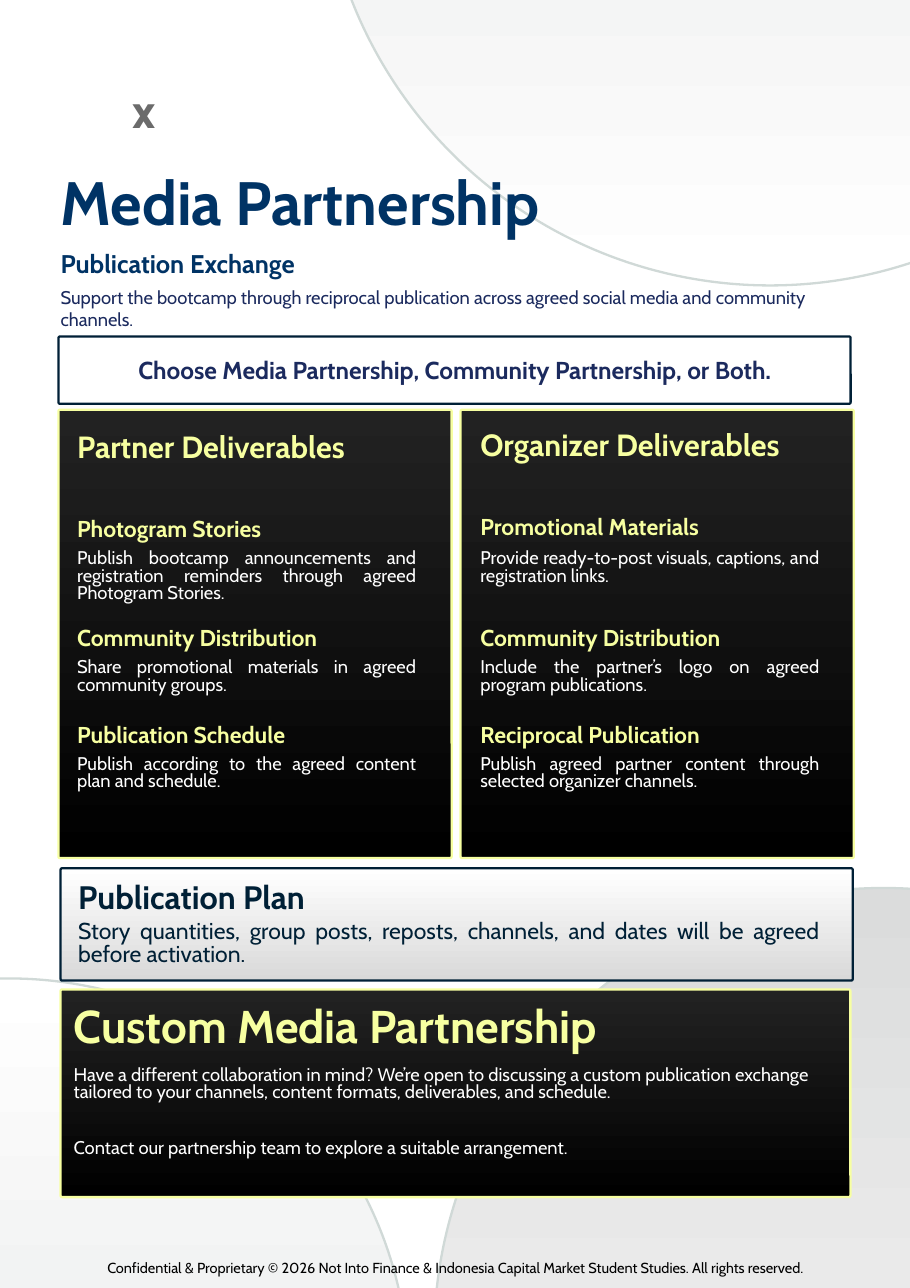
from pptx import Presentation
from pptx.dml.color import RGBColor
from pptx.enum.shapes import MSO_SHAPE
from pptx.enum.text import PP_ALIGN
from pptx.util import Pt

WHITE = RGBColor(0xFF, 0xFF, 0xFF)
BLACK = RGBColor(0x00, 0x00, 0x00)
CHARCOAL = RGBColor(0x22, 0x22, 0x22)
GRAY = RGBColor(0x6B, 0x6B, 0x6B)
SILVER = RGBColor(0xD9, 0xD9, 0xD9)
MIST = RGBColor(0xDB, 0xDC, 0xDC)
CIRCLE_EDGE = RGBColor(0xD0, 0xD9, 0xD7)
BLUE = RGBColor(0x00, 0x33, 0x65)
INDIGO = RGBColor(0x1B, 0x2A, 0x5E)
NAVY = RGBColor(0x00, 0x20, 0x36)
LIME = RGBColor(0xF7, 0xFF, 0xA1)

COLUMN_WIDTH = 221.8
BODY_TOPS = (360, 431.3, 494.6)
COLUMNS = (
    (38.2, 50.4, 284.4, "Partner Deliverables", (
        (339.8, "Photogram Stories",
         "Publish bootcamp announcements and registration reminders through agreed Photogram Stories."),
        (411.1, "Community Distribution",
         "Share promotional materials in agreed community groups."),
        (474.5, "Publication Schedule",
         "Publish according to the agreed content plan and schedule."),
    )),
    (301, 313.9, 283.4, "Organizer Deliverables", (
        (338.8, "Promotional Materials",
         "Provide ready-to-post visuals, captions, and registration links."),
        (411.1, "Community Distribution",
         "Include the partner’s logo on agreed program publications."),
        (474.5, "Reciprocal Publication",
         "Publish agreed partner content through selected organizer channels."),
    )),
)


class Flyer:
    font_name = "Cabin"
    line_width = 1.5
    corner_radius = 1

    def __init__(self, slide):
        self.slide = slide

    def shape(self, kind, left, top, width, height, line_color, colors=None):
        shape = self.slide.shapes.add_shape(kind, Pt(left), Pt(top), Pt(width), Pt(height))
        shape.shadow.inherit = False
        shape.line.color.rgb = line_color
        shape.line.width = Pt(self.line_width)
        if colors is None:
            shape.fill.background()
        else:
            shape.fill.gradient()
            shape.fill.gradient_angle = 270
            for stop, color in zip(shape.fill.gradient_stops, colors):
                stop.color.rgb = color
        return shape

    def circle(self, left, top, diameter, colors):
        self.shape(MSO_SHAPE.OVAL, left, top, diameter, diameter, CIRCLE_EDGE, colors)

    def panel(self, left, top, width, height, line_color, colors=None):
        shape = self.shape(MSO_SHAPE.ROUNDED_RECTANGLE, left, top, width, height, line_color, colors)
        shape.adjustments[0] = self.corner_radius / min(width, height)

    def text(self, text, left, top, width, height, size, spacing, color,
             bold=False, align=PP_ALIGN.LEFT):
        shape = self.slide.shapes.add_textbox(Pt(left), Pt(top), Pt(width), Pt(height))
        frame = shape.text_frame
        frame.word_wrap = True
        frame.margin_left = frame.margin_top = frame.margin_right = frame.margin_bottom = 0
        paragraph = frame.paragraphs[0]
        paragraph.text = text
        paragraph.alignment = align
        paragraph.line_spacing = Pt(spacing)
        paragraph.font.name = self.font_name
        paragraph.font.size = Pt(size)
        paragraph.font.bold = bold
        paragraph.font.color.rgb = color

    def heading(self, text, left, top, width, height, size, spacing, color):
        self.text(text, left, top, width, height, size, spacing, color, True, PP_ALIGN.JUSTIFY)

    def column(self, panel_left, left, title_top, title, sections):
        self.panel(panel_left, 267.8, 257, 293, LIME, (CHARCOAL, BLACK))
        self.heading(title, left, title_top, COLUMN_WIDTH, 20.9, 20, 19, LIME)
        for body_top, (heading_top, heading, body) in zip(BODY_TOPS, sections):
            self.heading(heading, left, heading_top, COLUMN_WIDTH, 15.8, 15, 14.2, LIME)
            self.text(body, left, body_top, COLUMN_WIDTH, 23.8, 12, 11.4, WHITE,
                      align=PP_ALIGN.JUSTIFY)


def main():
    presentation = Presentation()
    presentation.slide_width = Pt(594.72)
    presentation.slide_height = Pt(841.68)
    flyer = Flyer(presentation.slides.add_slide(presentation.slide_layouts[6]))

    flyer.circle(209.5, -401, 587.5, (MIST, WHITE))
    flyer.circle(-254.9, 639.4, 522, (WHITE, MIST))
    flyer.circle(283.7, 580.3, 587.5, (MIST, WHITE))

    flyer.text("x", 85, 61.9, 18, 30.2, 31, 28.5, GRAY, True, PP_ALIGN.CENTER)
    flyer.text("Media Partnership", 39.6, 117.4, 496, 40.3, 40, 38, BLUE, True)
    flyer.text("Publication Exchange", 39.6, 162, 518.4, 19.4, 16.7, 20, BLUE, True)
    flyer.text("Support the bootcamp through reciprocal publication across agreed "
               "social media and community channels.",
               39.6, 187.2, 518.4, 29.5, 12, 14.4, INDIGO)

    flyer.panel(38.2, 219.9, 517.7, 44, NAVY)
    flyer.text("Choose Media Partnership, Community Partnership, or Both.",
               45.4, 231.8, 504, 19.4, 16, 19.2, INDIGO, True, PP_ALIGN.CENTER)

    for column in COLUMNS:
        flyer.column(*column)

    flyer.panel(39.6, 567.4, 517.7, 73.4, NAVY, (WHITE, SILVER))
    flyer.heading("Publication Plan", 51.1, 578.2, 365.8, 21.6, 21.2, 20.2, NAVY)
    flyer.text("Story quantities, group posts, reposts, channels, and dates will be "
               "agreed before activation.",
               51.1, 601.9, 484.6, 29.5, 15, 15, NAVY, align=PP_ALIGN.JUSTIFY)

    flyer.panel(39.6, 646.6, 516.2, 135.7, LIME, (CHARCOAL, BLACK))
    flyer.heading("Custom Media Partnership", 48.2, 659.5, 501, 31, 30, 28.5, LIME)
    flyer.text("Have a different collaboration in mind? We’re open to discussing a custom "
               "publication exchange tailored to your channels, content formats, "
               "deliverables, and schedule.",
               48.2, 697.7, 488.2, 23.8, 12, 11.4, WHITE)
    flyer.text("Contact our partnership team to explore a suitable arrangement.",
               48.2, 745.2, 488.2, 13, 12, 11.4, WHITE)

    flyer.text("Confidential & Proprietary © 2026 Not Into Finance & Indonesia Capital "
               "Market Student Studies. All rights reserved.",
               38.2, 820.8, 519, 13, 9.5, 13.3, BLACK, align=PP_ALIGN.CENTER)

    presentation.save("out.pptx")


if __name__ == "__main__":
    main()
